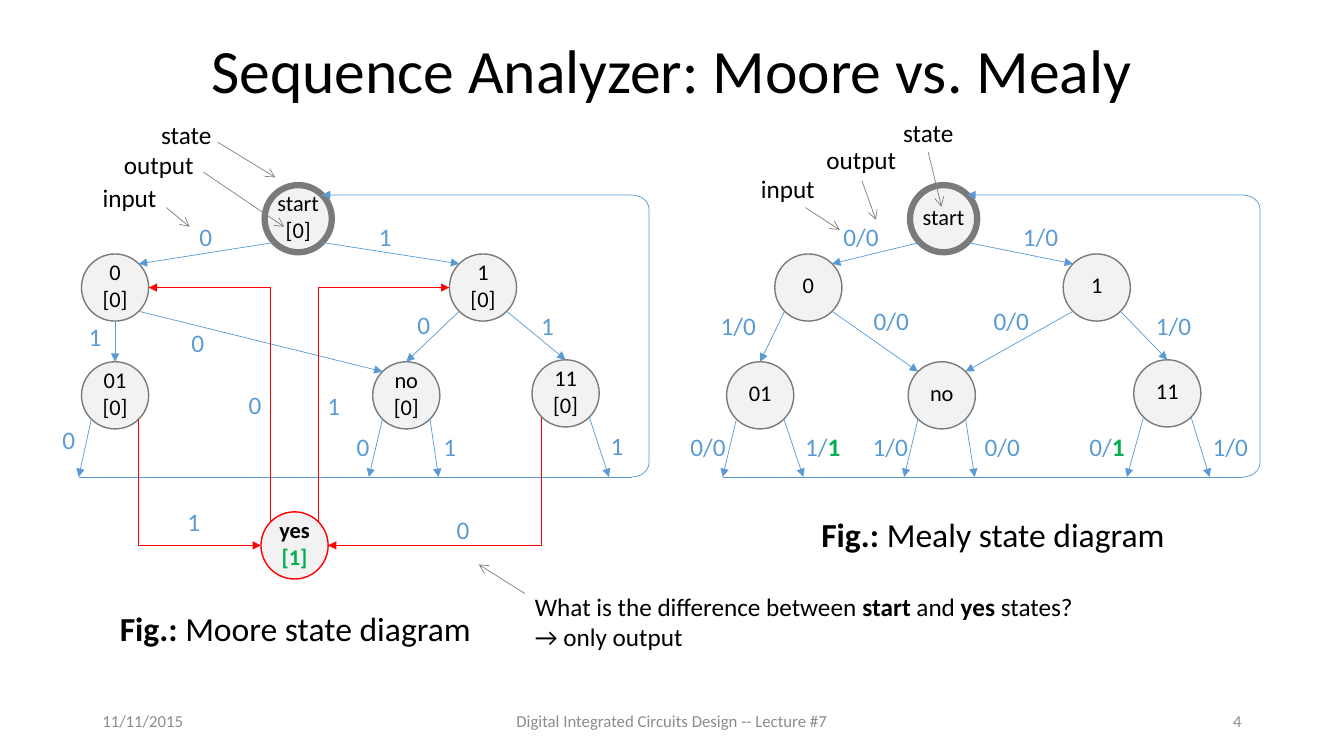
"""Build a slide comparing Moore and Mealy state diagrams of a sequence analyzer."""
import math

import lxml.etree
import pptx
import pptx.dml.color
import pptx.enum.shapes
import pptx.enum.text
import pptx.oxml.ns
import pptx.util

Pt = pptx.util.Pt
qn = pptx.oxml.ns.qn
SHAPE = pptx.enum.shapes.MSO_SHAPE
CONNECTOR = pptx.enum.shapes.MSO_CONNECTOR
ALIGN = pptx.enum.text.PP_ALIGN
ANCHOR = pptx.enum.text.MSO_ANCHOR

BLACK, BLUE, GREEN, RED = "000000", "5B9BD5", "00B050", "FF0000"
GRAY, POINTER, PALE, FOOTER = "7A7A7A", "808080", "F2F2F2", "8C8C8C"
RADIUS = 24
BUS_TOP, BUS_BOTTOM = 139.3, 340.7
TOP, TOP_LEFT, LEFT, BOTTOM_LEFT, BOTTOM, BOTTOM_RIGHT, RIGHT, TOP_RIGHT = range(8)


def rgb(code):
    return pptx.dml.color.RGBColor.from_string(code)


class Board:
    font = "Calibri"

    def __init__(self, slide):
        self.slide = slide

    def fill_text(self, frame, paragraphs, size, color=BLACK, align=ALIGN.LEFT):
        frame.text = "\n".join(parts[0][0] for parts in paragraphs)
        for para, parts in zip(frame.paragraphs, paragraphs):
            para.alignment = align
            for text, *_ in parts[1:]:
                para.add_run().text = text
            for span, (_, bold, tint) in zip(para.runs, parts):
                span.font.name = self.font
                span.font.size = Pt(size)
                span.font.bold = bold
                span.font.color.rgb = rgb(tint or color)

    def title(self, text, left, top, width, height):
        box = self.slide.shapes.title
        box.left, box.top, box.width, box.height = map(Pt, (left, top, width, height))
        frame = box.text_frame
        frame.auto_size = pptx.enum.text.MSO_AUTO_SIZE.NONE
        frame.vertical_anchor = ANCHOR.MIDDLE
        self.fill_text(frame, [[(text, False, None)]], 44, align=ALIGN.CENTER)
        frame.paragraphs[0].line_spacing = 0.9

    def text(self, parts, left, top, width, height, size=18, color=BLACK,
             align=ALIGN.LEFT, anchor=ANCHOR.TOP, wrap=False):
        box = self.slide.shapes.add_textbox(*map(Pt, (left, top, width, height)))
        frame = box.text_frame
        frame.word_wrap = wrap
        frame.vertical_anchor = anchor
        if isinstance(parts, str):
            parts = [(parts, False, None)]
        self.fill_text(frame, [parts], size, color, align)

    def shape(self, kind, left, top, width, height, line, weight, fill=None):
        shape = self.slide.shapes.add_shape(kind, *map(Pt, (left, top, width, height)))
        shape.shadow.inherit = False
        shape.line.color.rgb = rgb(line)
        shape.line.width = Pt(weight)
        if fill:
            shape.fill.solid()
            shape.fill.fore_color.rgb = rgb(fill)
        else:
            shape.fill.background()
        return shape

    def state(self, lines, x, y, line=GRAY, weight=1):
        node = self.shape(SHAPE.OVAL, x - RADIUS, y - RADIUS, 2 * RADIUS, 2 * RADIUS,
                          line, weight, PALE)
        frame = node.text_frame
        frame.margin_left = frame.margin_right = frame.margin_top = 0
        frame.margin_bottom = Pt(3.6)
        frame.word_wrap = True
        frame.vertical_anchor = ANCHOR.MIDDLE
        self.fill_text(frame, [[part] for part in lines], 16, align=ALIGN.CENTER)
        return node

    def site(self, node, index):
        angle = math.radians(90 + 45 * index)
        x = node.left.pt + RADIUS + RADIUS * math.cos(angle)
        y = node.top.pt + RADIUS - RADIUS * math.sin(angle)
        return x, y

    def line(self, begin, end, color=BLUE, kind=CONNECTOR.STRAIGHT, **heads):
        connector = self.slide.shapes.add_connector(kind, *map(Pt, (*begin, *end)))
        connector.line.color.rgb = rgb(color)
        connector.line.width = Pt(0.5)
        properties = connector._element.spPr
        outline = properties.find(qn("a:ln"))
        for tag, head in heads.items():
            lxml.etree.SubElement(outline, qn("a:" + tag), type=head)
        lxml.etree.SubElement(properties, qn("a:effectLst"))
        return connector

    def link(self, source, source_site, target, target_site):
        connector = self.line(self.site(source, source_site),
                              self.site(target, target_site), tailEnd="triangle")
        holder = connector._element.nvCxnSpPr.cNvCxnSpPr
        for tag, node, index in (("a:stCxn", source, source_site),
                                 ("a:endCxn", target, target_site)):
            lxml.etree.SubElement(holder, qn(tag), id=str(node.shape_id), idx=str(index))

    def elbow(self, head, tail):
        connector = self.line(head, tail, RED, CONNECTOR.ELBOW, headEnd="triangle")
        connector._element.spPr.find(qn("a:prstGeom")).set("prst", "bentConnector2")

    def bus(self, left, right, start):
        bracket = self.shape(SHAPE.RIGHT_BRACKET, right, BUS_TOP, 12.2,
                             BUS_BOTTOM - BUS_TOP, BLUE, 0.5)
        bracket.adjustments[0] = 0.83
        self.line((left, BUS_BOTTOM), (right, BUS_BOTTOM))
        self.line((right, BUS_TOP), self.site(start, TOP_RIGHT), tailEnd="triangle")

    def diagram(self, centers, output, links, drops, labels, bus_ends):
        nodes = {}
        for name, (x, y) in centers.items():
            lines = [(text, False, None) for text in [name] + output]
            nodes[name] = self.state(lines, x, y, weight=4.5 if name == "start" else 1)
        for source, source_site, target, target_site in links:
            self.link(nodes[source], source_site, nodes[target], target_site)
        for name, site, x in drops:
            self.line(self.site(nodes[name], site), (x, BUS_BOTTOM), tailEnd="triangle")
        self.bus(*bus_ends, nodes["start"])
        for text, places in labels.items():
            parts = [(text, False, None)]
            if text.endswith("*"):
                parts = [(text[:2], False, None), (text[2], True, GREEN)]
            for x, y in places:
                self.text(parts, x, y, 24 if len(text) == 1 else 40, 29, color=BLUE)
        return nodes


deck = pptx.Presentation()
deck.slide_width, deck.slide_height = Pt(960), Pt(540)
board = Board(deck.slides.add_slide(deck.slide_layouts[5]))
board.title("Sequence Analyzer: Moore vs. Mealy", 66, 24, 828, 57)
for text, left, width, align in (
        ("11/11/2015", 66, 216, ALIGN.LEFT),
        ("Digital Integrated Circuits Design -- Lecture #7", 318, 324, ALIGN.CENTER),
        ("4", 678, 216, ALIGN.RIGHT)):
    board.text(text, left, 500.4, width, 28.8, 12, FOOTER, align, ANCHOR.MIDDLE, True)

shared_links = [("start", BOTTOM_LEFT, "0", TOP_RIGHT), ("start", BOTTOM_RIGHT, "1", TOP_LEFT),
                ("0", BOTTOM_RIGHT, "no", TOP_LEFT), ("1", BOTTOM_RIGHT, "11", TOP)]
moore = board.diagram(
    {"start": (213, 156.2), "0": (82.2, 205.4), "1": (345, 205.4),
     "01": (82.2, 282.4), "no": (290.2, 282.4), "11": (404, 281)},
    ["[0]"],
    shared_links + [("0", BOTTOM, "01", TOP), ("1", BOTTOM_LEFT, "no", TOP)],
    [("01", BOTTOM_LEFT, 56.2), ("no", BOTTOM_LEFT, 263.5),
     ("no", BOTTOM_RIGHT, 313.2), ("11", BOTTOM_RIGHT, 435)],
    {"0": [(135.4, 154.8), (291, 217.4), (129.6, 230.4), (170.6, 274.3),
           (37.4, 299.5), (247.7, 304.6), (319, 363.6)],
     "1": [(263.5, 154.8), (379.4, 218.2), (56.2, 226), (226.8, 275),
           (309.6, 304.6), (429, 303.8), (126.7, 357.8)]},
    (56.2, 451.4))
accepting = board.state([("yes", True, None), ("[1]", True, GREEN)], 210.4, 389.6, RED)
for head_node, head_site, tail_node, tail_site in (
        (accepting, RIGHT, moore["11"], BOTTOM_LEFT),
        (accepting, LEFT, moore["01"], BOTTOM_RIGHT),
        (moore["0"], RIGHT, accepting, TOP_LEFT),
        (moore["1"], LEFT, accepting, TOP_RIGHT)):
    board.elbow(board.site(head_node, head_site), board.site(tail_node, tail_site))

board.diagram(
    {"start": (674, 156.2), "0": (577.4, 205.4), "1": (783.4, 205.4),
     "01": (543, 282.4), "no": (672.7, 282.4), "11": (833.8, 281)},
    [],
    shared_links + [("0", BOTTOM_LEFT, "01", TOP), ("1", BOTTOM_LEFT, "no", TOP_RIGHT)],
    [("01", BOTTOM_LEFT, 516.2), ("01", BOTTOM_RIGHT, 573.8), ("no", BOTTOM_LEFT, 645.8),
     ("no", BOTTOM_RIGHT, 696.2), ("11", BOTTOM_LEFT, 805), ("11", BOTTOM_RIGHT, 864)],
    {"0/0": [(595.4, 154.8), (617, 214.6), (702.7, 214.6), (486, 304.6), (696.2, 304.6)],
     "1/0": [(723.6, 154.8), (507.6, 218.2), (818.6, 218.2), (616.3, 304.6), (859, 304.6)],
     "0/1*": [(771, 304.6)], "1/1*": [(568, 304.6)]},
    (516.2, 887.8))

for name, left, top in (("Moore", 78.5, 430.6), ("Mealy", 579.6, 363.6)):
    board.text([("Fig.:", True, None), (f" {name} state diagram", False, None)],
               left, top, 267, 36, 24)
board.text([("What is the difference between ", False, None), ("start", True, None),
            (" and ", False, None), ("yes", True, None),
            (" states? → only output", False, None)], 375, 419, 414.7, 51, wrap=True)
board.line((375, 424), (342, 403.2), POINTER, tailEnd="arrow")
for text, left, top, width, begin, end in (
        ("state", 108, 81.4, 50.4, (155.5, 101.5), (196.6, 126.7)),
        ("output", 81.4, 103, 64.8, (145.4, 123), (203, 162)),
        ("input", 66.2, 126.7, 53.3, (118.8, 148.3), (135.4, 162)),
        ("state", 638, 80, 50.4, (663, 108.7), (672.5, 147.6)),
        ("output", 583.2, 99.4, 64.8, (615.6, 129), (625.7, 157)),
        ("input", 536.4, 120.2, 53.3, (575.3, 148.3), (599.8, 164.2))):
    board.text(text, left, top, width, 29)
    board.line(begin, end, POINTER, tailEnd="arrow")
deck.save("out.pptx")
